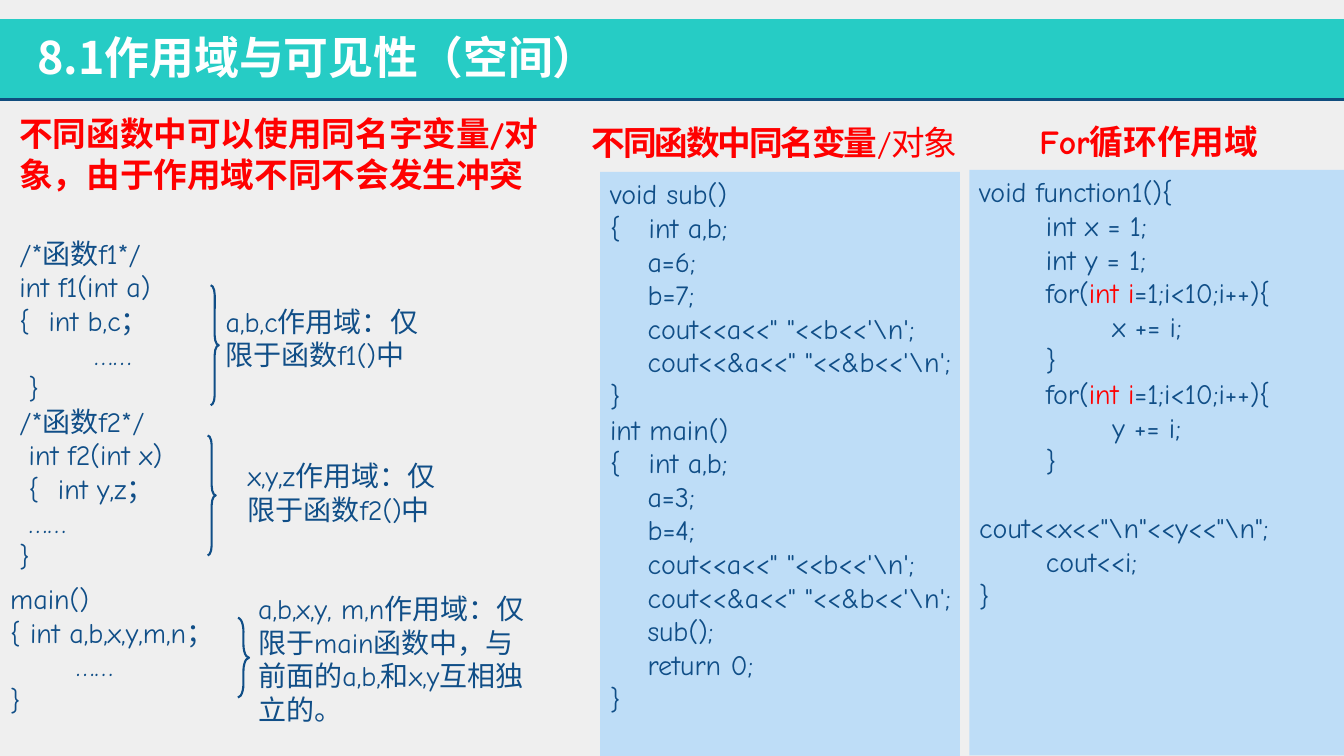
from lxml import etree
from pptx import Presentation
from pptx import util as u
from pptx.dml.color import RGBColor
from pptx.enum import shapes, text
from pptx.oxml.ns import qn

COLS, ROWS = 160, 90
NAVY, RED, PALE, TEAL = "104E87", "FF0000", "BEDDF7", "26CCC5"
COMIC, NOTO = "Comic Neue", "Noto Sans CJK JP"


def hue(code):
    """Turn a hex string into a colour."""
    return RGBColor.from_string(code)


def style(run, size=20, font=COMIC, color=NAVY, bold=False, track=0):
    """Format one run."""
    run.font.size = u.Pt(size)
    run.font.name = font
    run.font.bold = bold
    run.font.color.rgb = hue(color)
    props = run.font._element
    if track:
        props.set("spc", str(int(track * 100)))
    east = etree.Element(qn("a:ea"), typeface=font)
    props.find(qn("a:latin")).addnext(east)


def write(frame, words, mark=None, alt=None, tab=0, wrap=True, **form):
    """Write lines of text, giving each marked part its own format."""
    frame.word_wrap = wrap
    frame.vertical_anchor = text.MSO_ANCHOR.TOP
    for row, line in enumerate(words.split("\n")):
        para = frame.add_paragraph() if row else frame.paragraphs[0]
        para.alignment = text.PP_ALIGN.LEFT
        if tab:
            stops = etree.SubElement(para._p.get_or_add_pPr(), qn("a:tabLst"))
            for step in (1, 2):
                etree.SubElement(stops, qn("a:tab"), pos=str(u.Inches(tab * step)), algn="l")
        for turn, part in enumerate(line.split(mark) if mark else [line]):
            if turn:
                run = para.add_run()
                run.text = mark
                style(run, **{**form, **alt})
            if part:
                run = para.add_run()
                run.text = part
                style(run, **form)


class Page:
    """Hold the slide and its grid."""

    def __init__(self):
        """Open a blank slide."""
        self.deck = Presentation()
        self.deck.slide_width, self.deck.slide_height = u.Inches(13.33), u.Inches(7.5)
        self.slide = self.deck.slides.add_slide(self.deck.slide_layouts[6])
        self.slide.background.fill.solid()
        self.slide.background.fill.fore_color.rgb = hue("EFEFEF")

    def grid(self, *cells):
        """Turn columns and rows into lengths."""
        units = (self.deck.slide_width / COLS, self.deck.slide_height / ROWS)
        return [int(cell * units[i % 2]) for i, cell in enumerate(cells)]

    def panel(self, at, fill, words="", **form):
        """Draw a filled rectangle with optional text."""
        box = self.slide.shapes.add_shape(shapes.MSO_SHAPE.RECTANGLE, *self.grid(*at))
        box.shadow.inherit = False
        box.fill.solid()
        box.fill.fore_color.rgb = hue(fill)
        box.line.fill.background()
        if words:
            write(box.text_frame, words, **form)

    def label(self, at, words, **form):
        """Place a text box."""
        box = self.slide.shapes.add_textbox(*self.grid(*at))
        box.text_frame.auto_size = text.MSO_AUTO_SIZE.SHAPE_TO_FIT_TEXT
        write(box.text_frame, words, **form)

    def brace(self, at):
        """Draw a right brace."""
        mark = self.slide.shapes.add_shape(shapes.MSO_SHAPE.RIGHT_BRACE, *self.grid(*at))
        mark.shadow.inherit = False
        mark.adjustments[0], mark.adjustments[1] = 1.22, 0.5
        mark.fill.background()
        mark.line.color.rgb = hue(NAVY)
        mark.line.width = u.Pt(1.5)

    def rule(self, ends, color, width):
        """Draw a straight line."""
        line = self.slide.shapes.add_connector(shapes.MSO_CONNECTOR.STRAIGHT, *self.grid(*ends))
        line.line.color.rgb = hue(color)
        line.line.width = u.Pt(width)
        etree.SubElement(line._element.spPr, qn("a:effectLst"))


LOOP = """void function1(){
\tint x = 1;
\tint y = 1;
\tfor(int i=1;i<10;i++){
\t\tx += i;
\t}
\tfor(int i=1;i<10;i++){
\t\ty += i;
\t}
\tcout<<x<<"\\n"<<y<<"\\n";
\tcout<<i;
}"""

SAME = """void sub()
{   int a,b;
    a=6;
    b=7;
    cout<<a<<" "<<b<<'\\n';
    cout<<&a<<" "<<&b<<'\\n';
}
int main()
{   int a,b;
    a=3;
    b=4;
    cout<<a<<" "<<b<<'\\n';
    cout<<&a<<" "<<&b<<'\\n';
    sub();
    return 0;
}"""

FUNCS = """/*函数f1*/
int f1(int a)
{  int b,c；
        ……
 }
/*函数f2*/
 int f2(int x)
 {  int y,z；
 ……
}"""

MAIN = """main()
{ int a,b,x,y,m,n；
       ……
}"""

NOTES = [
    ((25.08, 33.96, 0.96, 14.28), (25.68, 35.64, 26.4, 9.24), "a,b,c作用域：仅限于函数f1()中"),
    ((24.72, 51.84, 0.96, 14.28), (28.32, 54, 26.4, 9.24), "x,y,z作用域：仅限于函数f2()中"),
    ((28.32, 73.56, 1.32, 9.48), (29.55, 69.84, 34.92, 17.4),
     "a,b,x,y, m,n作用域：仅限于main函数中，与前面的a,b,和x,y互相独立的。"),
]


def main():
    """Build the slide and save it."""
    page = Page()
    head = dict(size=24, color=RED, bold=True)
    page.panel((0, 2.28, COLS, 9.6), TEAL)
    page.rule((0, 11.88, COLS, 11.88), "104D7E", 2)
    page.label((3.24, 3, 105.4, 7.7), "8.1作用域与可见性（空间）",
               size=32, font=NOTO, color="FFFFFF", bold=True)
    page.panel((115.4, 20.22, 44.6, 69.72), PALE, LOOP,
               mark="int i", alt=dict(color=RED), tab=0.66)
    page.label((122.55, 13.8, 37.45, 6), "For循环作用域", **head)
    page.panel((71.45, 20.46, 42.84, 69.54), PALE, SAME, wrap=False)
    page.label((69.24, 13.92, 62.5, 6), "不同函数中同名变量/对象", mark="/对象",
               alt=dict(font=COMIC, bold=False), font=NOTO, track=-1.5, **head)
    page.label((1.12, 27.54, 29.9, 41.6), FUNCS)
    page.label((0.04, 68.64, 66.6, 17.4), MAIN)
    for brace, spot, words in NOTES:
        page.brace(brace)
        page.label(spot, words)
    page.label((1.12, 12.88, 65.5, 10.92),
               "不同函数中可以使用同名字变量/对象，由于作用域不同不会发生冲突", **head)
    page.deck.save("out.pptx")


if __name__ == "__main__":
    main()
